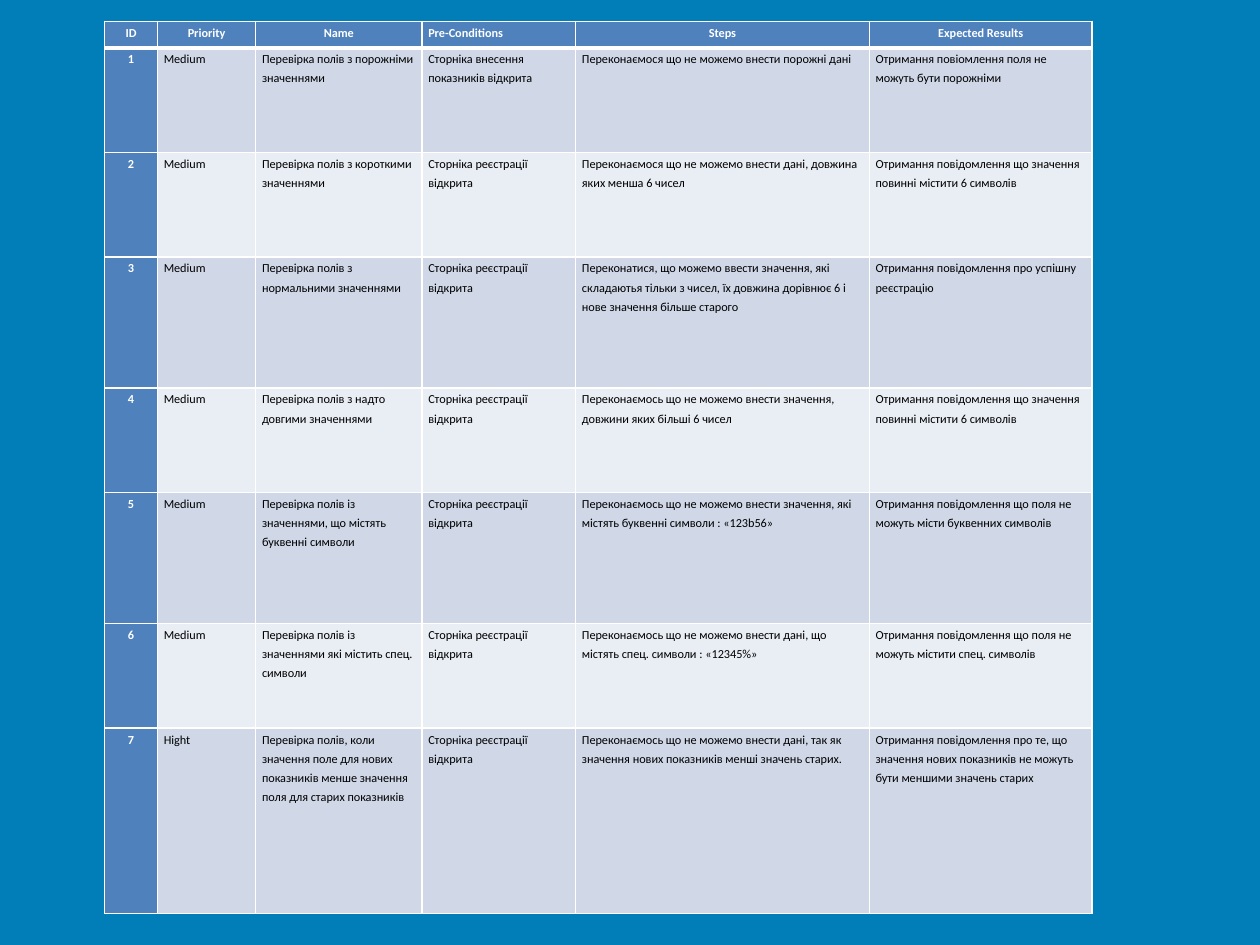
from lxml.etree import SubElement as Sub
from pptx import Presentation as Deck
from pptx.dml.color import RGBColor as Rgb
from pptx.enum.text import PP_ALIGN as Align
from pptx.oxml.ns import qn
from pptx.util import Inches, Pt

HUES = {"back": "017EB8", "head": "4F81BD", "odd": "D0D8E8",
        "even": "E9EDF4", "white": "FFFFFF", "black": "000000"}
COLS = [0.42, 0.78, 1.32, 1.22, 2.33, 1.77]
ROWS = [0.21, 0.83, 0.83, 1.04, 0.83, 1.04, 0.83, 1.47]
HEADS = ["ID", "Priority", "Name", "Pre-Conditions", "Steps", "Expected Results"]
OPEN = "Сторніка реєстрації відкрита"
SIX = "Отримання повідомлення що значення повинні містити 6 символів"
CASES = [
    ["Medium", "Перевірка полів з порожніми значеннями",
     "Сторніка внесення показників відкрита",
     "Переконаємося що не можемо внести порожні дані",
     "Отримання повіомлення поля не можуть бути порожніми"],
    ["Medium", "Перевірка полів з короткими значеннями", OPEN,
     "Переконаємося що не можемо внести дані, довжина яких менша 6 чисел",
     SIX],
    ["Medium", "Перевірка полів з нормальними значеннями", OPEN,
     "Переконатися, що можемо ввести значення, які складаютья тільки з чисел, "
     "їх довжина дорівнює 6 і нове значення більше старого",
     "Отримання повідомлення про успішну реєстрацію"],
    ["Medium", "Перевірка полів з надто довгими значеннями", OPEN,
     "Переконаємось що не можемо внести значення, довжини яких більші 6 чисел",
     SIX],
    ["Medium", "Перевірка полів із значеннями, що містять буквенні символи", OPEN,
     "Переконаємось що не можемо внести значення, які містять буквенні "
     "символи : «123b56»",
     "Отримання повідомлення що поля не можуть місти буквенних символів"],
    ["Medium", "Перевірка полів із значеннями які містить спец. символи", OPEN,
     "Переконаємось що не можемо внести дані, що містять спец. символи : «12345%»",
     "Отримання повідомлення що поля не можуть містити спец. символів"],
    ["Hight", "Перевірка полів, коли значення поле для нових показників менше "
     "значення поля для старих показників", OPEN,
     "Переконаємось що не можемо внести дані, так як значення нових показників "
     "менші значень старих.",
     "Отримання повідомлення про те, що значення нових показників не можуть "
     "бути меншими значень старих"],
]


def color(name):
    """Return the named colour."""
    return Rgb.from_string(HUES[name])


def edge(cell, side, width):
    """Draw one white border of a cell."""
    line = Sub(cell._tc.get_or_add_tcPr(), qn(f"a:ln{side}"), w=str(Pt(width)))
    fill = Sub(line, qn("a:solidFill"))
    Sub(fill, qn("a:srgbClr"), val=HUES["white"])


def write(cell, text, bold, mid):
    """Put one styled paragraph into a cell."""
    cell.margin_left = cell.margin_right = Inches(0.05)
    cell.margin_top = cell.margin_bottom = 0
    para = cell.text_frame.paragraphs[0]
    para.alignment = Align.CENTER if mid else Align.LEFT
    para.line_spacing = 1.29
    run = para.add_run()
    run.text = text
    font = run.font
    font.name, font.size, font.bold = "Calibri", Pt(7), bold
    font.color.rgb = color("white" if bold else "black")


def paint(cell, row, head):
    """Set the borders and fill of a cell."""
    widths = {"L": 1, "R": 1, "T": 3 if row == 1 else 1, "B": 3 if row == 0 else 1}
    for side, width in widths.items():
        edge(cell, side, width)
    cell.fill.solid()
    cell.fill.fore_color.rgb = color("head" if head else "odd" if row % 2 else "even")


def add_grid(slide):
    """Add the table of test cases."""
    grid = slide.shapes.add_table(len(ROWS), len(COLS), Inches(0.83), Inches(0.17),
                                  Inches(sum(COLS)), Inches(sum(ROWS))).table
    for col, width in zip(grid.columns, COLS):
        col.width = Inches(width)
    for row, height in zip(grid.rows, ROWS):
        row.height = Inches(height)
    lines = [HEADS] + [[str(num), *case] for num, case in enumerate(CASES, 1)]
    for r, line in enumerate(lines):
        for c, text in enumerate(line):
            cell = grid.cell(r, c)
            head = r == 0 or c == 0
            paint(cell, r, head)
            write(cell, text, head, head and text != "Pre-Conditions")


def main():
    """Build and save the slide."""
    deck = Deck()
    deck.slide_width, deck.slide_height = Inches(10), Inches(7.5)
    slide = deck.slides.add_slide(deck.slide_layouts[6])
    slide.background.fill.solid()
    slide.background.fill.fore_color.rgb = color("back")
    add_grid(slide)
    deck.save("out.pptx")


if __name__ == "__main__":
    main()
